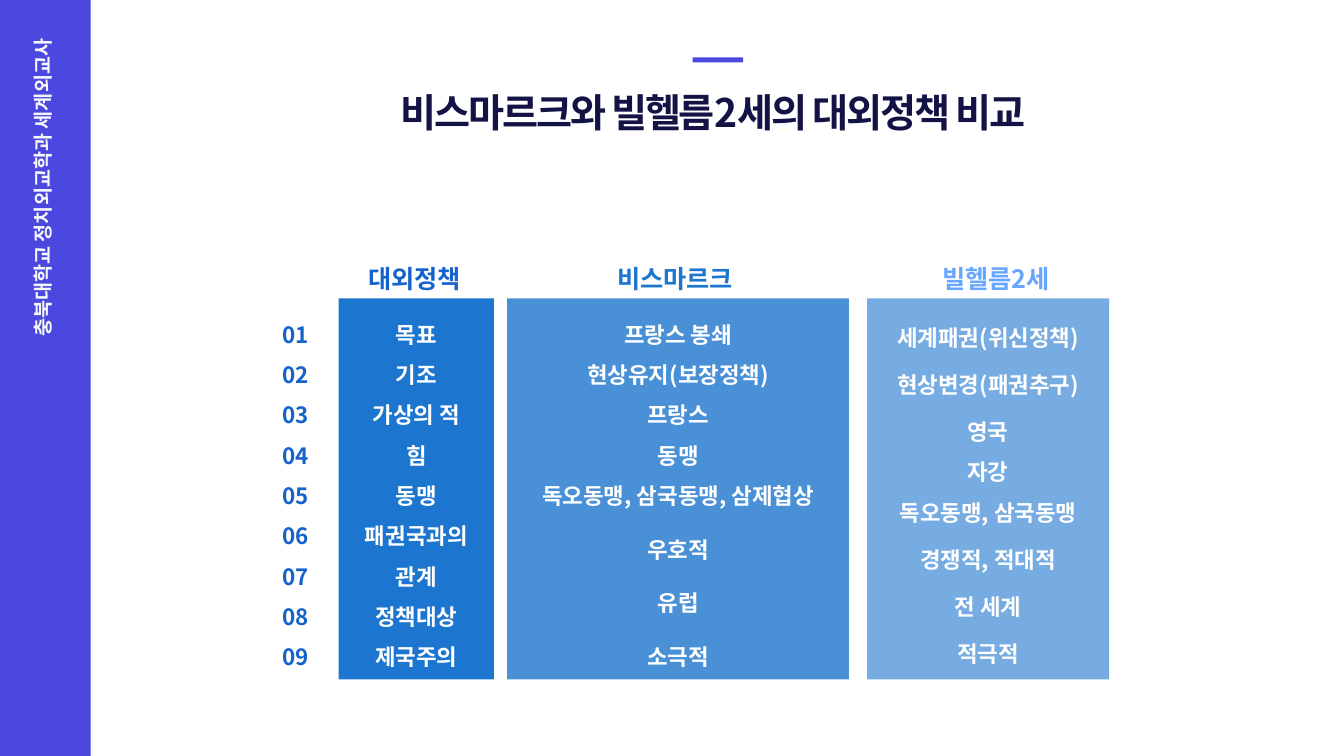
from dataclasses import dataclass

from lxml import etree
from pptx import Presentation
from pptx.dml.color import RGBColor
from pptx.enum.shapes import MSO_SHAPE
from pptx.enum.text import MSO_ANCHOR, MSO_AUTO_SIZE, PP_ALIGN
from pptx.oxml.ns import qn
from pptx.util import Inches, Pt

RECT = MSO_SHAPE.RECTANGLE
TOP, MIDDLE = MSO_ANCHOR.TOP, MSO_ANCHOR.MIDDLE
CENTER, RIGHT = PP_ALIGN.CENTER, PP_ALIGN.RIGHT
NO_FIT = MSO_AUTO_SIZE.NONE
SLIDE_W, SLIDE_H = 13.33, 7.5


@dataclass(frozen=True)
class Theme:
    """Colours, font and type sizes of the slide."""
    font: str = "Noto Sans CJK KR"
    accent: str = "4B47DF"
    ink: str = "131345"
    column: str = "1C75CE"
    label: str = "1462CC"
    pale: str = "66A6FF"
    white: str = "FFFFFF"
    soft_white: str = "F6F7FB"
    title_size: int = 28
    head_size: int = 18
    body_size: int = 16
    side_size: int = 14


@dataclass(frozen=True)
class Column:
    """One column of the comparison, with lengths in inches."""
    width: float
    gap: float
    opacity: int
    head: str
    head_color: str
    head_shift: float
    rows: tuple
    spacing: tuple
    space_before: tuple = ()


THEME = Theme()
COLUMNS = (
    Column(1.54, 0.13, 100, "대외정책", THEME.label, -0.02,
           ("목표", "기조", "가상의 적", "힘", "동맹", "패권국과의", "관계",
            "정책대상", "제국주의"), (1.5,) * 9),
    Column(3.39, 0.18, 80, "비스마르크", THEME.column, -0.03,
           ("프랑스 봉쇄", "현상유지(보장정책)", "프랑스", "동맹",
            "독오동맹, 삼국동맹, 삼제협상", "우호적", "유럽", "소극적"),
           (1.5,) * 5 + (2.0,) * 3),
    Column(2.4, 0, 60, "빌헬름2세", THEME.pale, 0.08,
           ("세계패권(위신정책)", "현상변경(패권추구)", "영국", "자강",
            "독오동맹, 삼국동맹", "경쟁적, 적대적", "전 세계", "적극적"),
           (1.5,) * 8, (0, 5, 5, 0, 0, 5, 5, 5)),
)


def write(sp, lines, size, color, align=CENTER, anchor=TOP, spacing=(),
          space_before=(), tracking=None, wrap=True):
    """Fill a shape with bold paragraphs in the slide's font."""
    tf = sp.text_frame
    tf.text = "\n".join(lines)
    tf.word_wrap, tf.auto_size, tf.vertical_anchor = wrap, NO_FIT, anchor
    for i, p in enumerate(tf.paragraphs):
        p.alignment = align
        if spacing:
            p.line_spacing = spacing[i]
        if space_before:
            p.space_before = Pt(space_before[i])
        for r in p.runs:
            font = r.font
            font.name, font.size, font.bold = THEME.font, Pt(size), True
            font.color.rgb = RGBColor.from_string(color)
            rPr = r._r.get_or_add_rPr()
            ea = etree.SubElement(rPr, qn("a:ea"))
            ea.set("typeface", THEME.font)
            if tracking is not None:
                rPr.set("spc", str(int(tracking * 100)))


def add_rect(s, box, color, opacity=100):
    """Add a borderless rectangle, translucent when opacity is below 100."""
    sp = s.shapes.add_shape(RECT, *map(Inches, box))
    sp.shadow.inherit = False
    sp.fill.solid()
    sp.fill.fore_color.rgb = RGBColor.from_string(color)
    sp.line.fill.background()
    if opacity < 100:
        clr = sp._element.spPr.find(".//" + qn("a:srgbClr"))
        etree.SubElement(clr, qn("a:alpha")).set("val", str(opacity * 1000))
    return sp


def add_label(s, box, lines, size, color, **style):
    """Add a text box and return it."""
    sp = s.shapes.add_textbox(*map(Inches, box))
    write(sp, lines, size, color, **style)
    return sp


def add_title(s, box):
    """Place the title with its short accent bar above it."""
    x, y, w, h = box
    add_rect(s, (x + w / 2 - 0.25, y - 0.26, 0.5, 0.05), THEME.accent)
    title = s.shapes.title
    title.left, title.top, title.width, title.height = map(Inches, box)
    write(title, ["비스마르크와 빌헬름2세의 대외정책 비교"], THEME.title_size,
          THEME.ink, tracking=-1.5, wrap=False)
    tf = title.text_frame
    tf.margin_left, tf.margin_right = 0, Inches(0.1)
    tf.margin_top = tf.margin_bottom = Inches(0.05)


def add_sidebar(s, box):
    """Draw the side band with its course name turned upwards."""
    x, y, w, h = box
    add_rect(s, box, THEME.accent)
    length, depth = 3.67, 0.29
    center_x, center_y = x + w / 2, y + h * 0.28 + 0.02
    sp = add_label(s, (center_x - length / 2, center_y - depth / 2, length, depth),
                   ["충북대학교 정치외교학과 세계외교사"], THEME.side_size,
                   THEME.soft_white, align=RIGHT)
    sp.text_frame.margin_top = 0
    sp.rotation = 270


def add_comparison(s, box):
    """Lay out the row numbers and the headed columns across the box."""
    x, y, w, h = box
    numbers = [f"{n:02}" for n in range(1, 10)]
    add_label(s, (x - 1.2, y, 1.54, h), numbers, THEME.body_size, THEME.label,
              anchor=MIDDLE, spacing=(1.5,) * len(numbers))
    for col in COLUMNS:
        sp = add_rect(s, (x, y, col.width, h), THEME.column, col.opacity)
        write(sp, col.rows, THEME.body_size, THEME.white, anchor=MIDDLE,
              spacing=col.spacing, space_before=col.space_before)
        head_x = x + (col.width - 1.54) / 2 + col.head_shift
        add_label(s, (head_x, y - 0.4, 1.54, 0.4), [col.head],
                  THEME.head_size, col.head_color)
        x += col.width + col.gap


def main():
    """Build and save the slide."""
    prs = Presentation()
    prs.slide_width, prs.slide_height = Inches(SLIDE_W), Inches(SLIDE_H)
    s = prs.slides.add_slide(prs.slide_layouts[5])
    add_comparison(s, (3.36, 2.96, 7.64, 3.78))
    add_title(s, (3.63, 0.83, 6.98, 0.57))
    add_sidebar(s, (0, 0, 0.9, SLIDE_H))
    prs.save("out.pptx")


if __name__ == "__main__":
    main()
